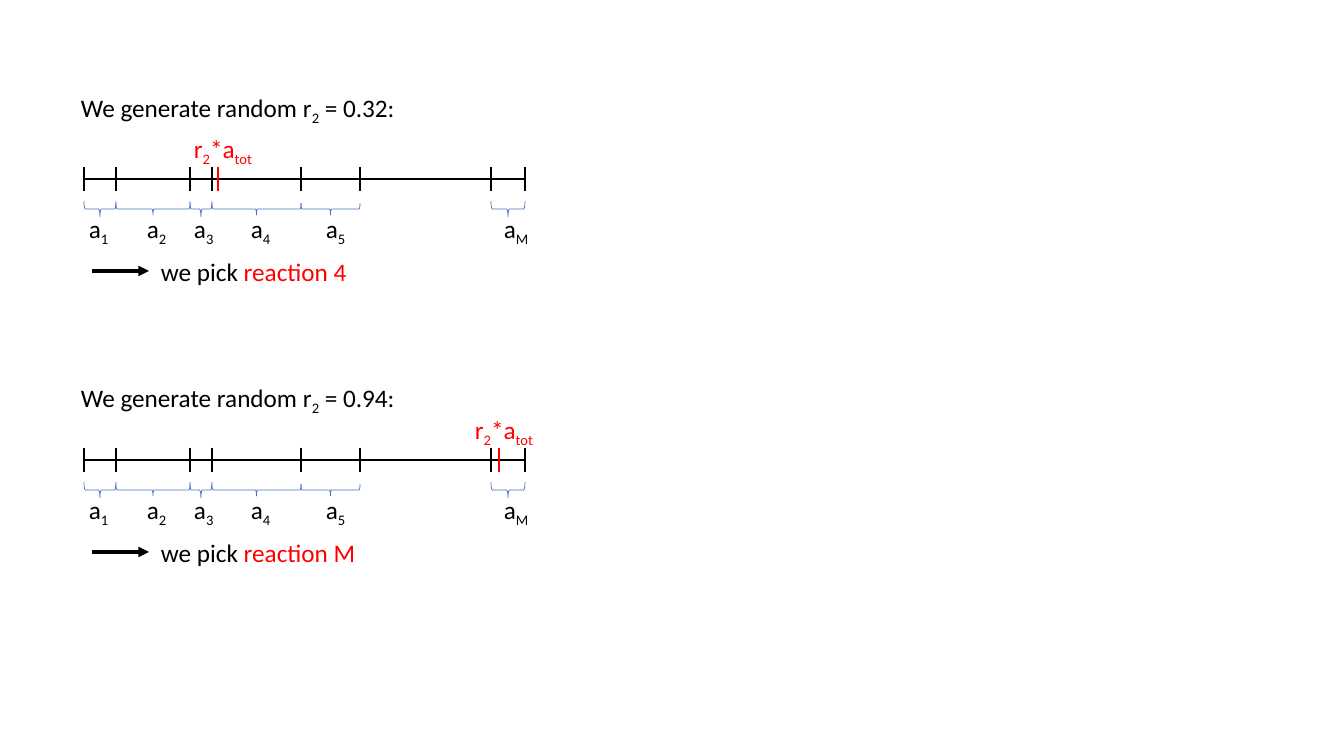
from itertools import pairwise

from lxml.etree import SubElement
from pptx import Presentation
from pptx.dml.color import RGBColor
from pptx.enum.shapes import MSO_CONNECTOR as Connector, MSO_SHAPE as Shape
from pptx.enum.text import MSO_AUTO_SIZE as AutoSize
from pptx.oxml.ns import qn
from pptx.util import Emu, Pt

BLACK = RGBColor(0, 0, 0)
RED = RGBColor(255, 0, 0)
BLUE = RGBColor(0x44, 0x72, 0xC4)
TICKS = [84, 116, 190, 212, 301, 360, 491, 525]
BRACE_DEPTHS = [16, 12, 16, 12, 12, None, 16]
LABELS = [("1", 79, 41), ("2", 137, 41), ("3", 184, 41),
          ("4", 241, 41), ("5", 316, 41), ("M", 494, 47)]


def px(length):
    """Turn pixels into EMU."""
    return Emu(round(length * 914400 / 100.8))


def add_text(slide, left, top, width, spans, color=BLACK, size=18, font="Calibri"):
    """Add one line of text from (text, options) spans."""
    box = slide.shapes.add_textbox(px(left), px(top), px(width), px(40))
    frame = box.text_frame
    frame.word_wrap = False
    frame.auto_size = AutoSize.SHAPE_TO_FIT_TEXT
    para = frame.paragraphs[0]
    for text, options in spans:
        span = para.add_run()
        span.text = text
        span.font.name = font
        span.font.size = Pt(size)
        span.font.color.rgb = options.get("color", color)
        if options.get("subscript"):
            span.font._element.set("baseline", "-25000")


def sub(text):
    """Make a subscript span."""
    return text, {"subscript": True}


def plain(text, **options):
    """Make a span on the baseline."""
    return text, options


def add_line(slide, start, end, color=BLACK, weight=1, arrow=False):
    """Add a straight line, with an arrowhead at its end if wanted."""
    line = slide.shapes.add_connector(
        Connector.STRAIGHT, *[px(value) for value in (*start, *end)])
    line.line.color.rgb = color
    line.line.width = Pt(weight)
    if arrow:
        SubElement(line.line._get_or_add_ln(), qn("a:tailEnd"), type="triangle")
    SubElement(line._element.spPr, qn("a:effectLst"))


def add_tick(slide, x, axis, **style):
    """Add a short upright line across the axis."""
    add_line(slide, (x, axis - 12), (x, axis + 12), **style)


def add_brace(slide, start, end, middle, depth):
    """Add a brace that opens upward and spans an interval."""
    span = end - start
    brace = slide.shapes.add_shape(
        Shape.LEFT_BRACE, px((start + end - depth) / 2), px(middle - span / 2),
        px(depth), px(span))
    brace.rotation = 270
    brace.shadow.inherit = False
    brace.fill.background()
    brace.line.color.rgb = BLUE
    brace.line.width = Pt(0.5)


def add_number_line(slide, axis):
    """Add the axis with its ticks, braces and interval labels."""
    add_line(slide, (TICKS[0], axis), (TICKS[-1], axis))
    for x in TICKS:
        add_tick(slide, x, axis)
    for (start, end), depth in zip(pairwise(TICKS), BRACE_DEPTHS):
        if depth:
            add_brace(slide, start, end, axis + 30, depth)
    for index, left, width in LABELS:
        add_text(slide, left, axis + 29, width, [plain("a"), sub(index)])


def add_example(slide, axis, heading_top, value, marker, marker_left, reaction, pick_width):
    """Add one random draw and the reaction it selects."""
    add_number_line(slide, axis)
    add_text(slide, 71, heading_top, 339,
             [plain("We generate random r"), sub("2"), plain(f" = {value}:")])
    add_tick(slide, marker, axis, color=RED, weight=2)
    add_text(slide, marker_left, axis - 51, 83,
             [plain("r"), sub("2"), plain("*a"), sub("tot")], color=RED)
    add_text(slide, 151, axis + 72, pick_width,
             [plain("we pick "), plain(f"reaction {reaction}", color=RED)])
    add_line(slide, (92, axis + 92), (149, axis + 92), weight=2.5, arrow=True)


def main():
    """Build and save the deck."""
    deck = Presentation()
    deck.slide_width, deck.slide_height = px(1344), px(756)
    slide = deck.slides.add_slide(deck.slide_layouts[6])
    add_example(slide, 179, 87, "0.32", 218, 184, "4", 209)
    add_example(slide, 460, 377, "0.94", 499, 465, "M", 217)
    deck.save("out.pptx")


main()
